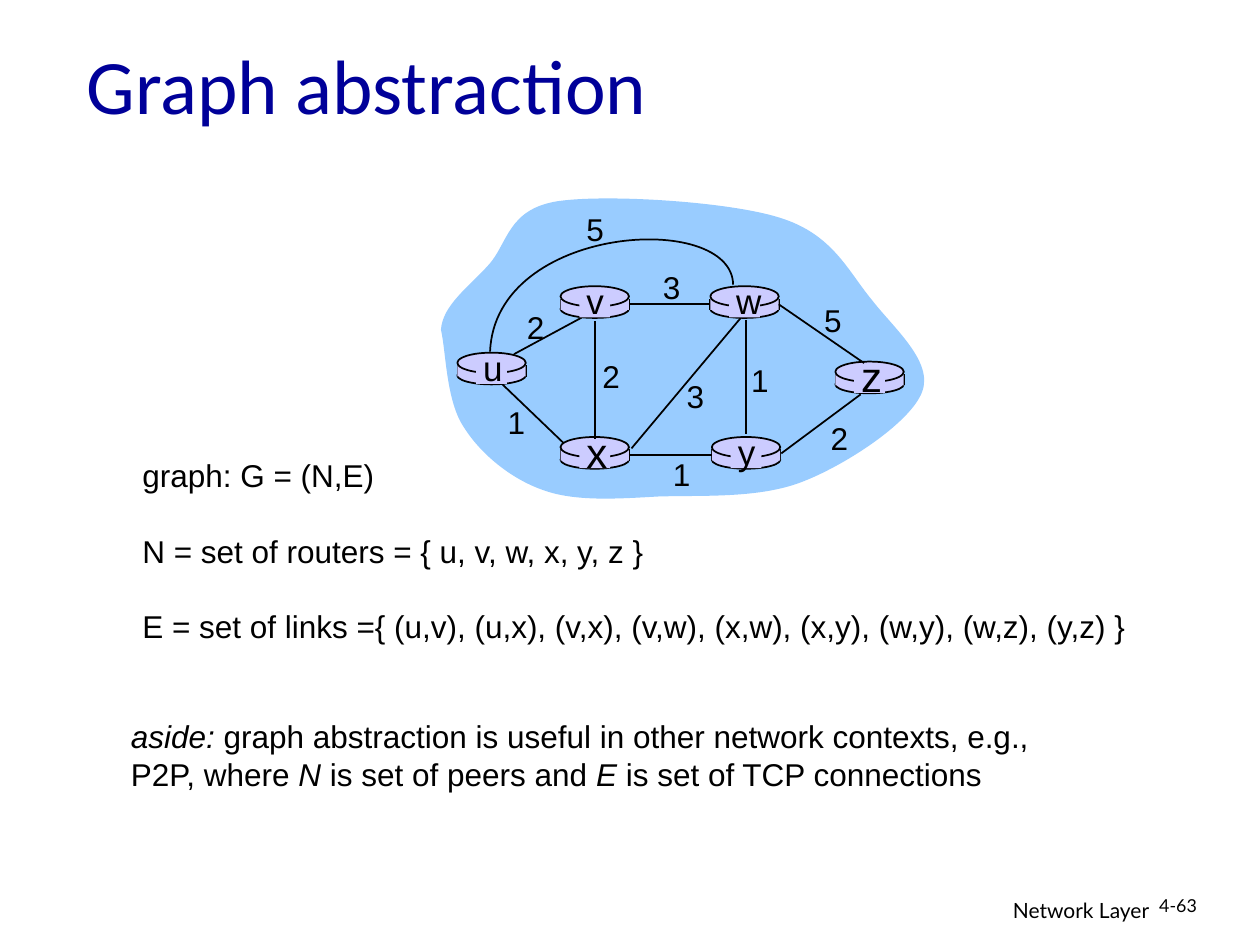
"""Build the slide that presents a router network as a graph with link costs."""
from dataclasses import dataclass
from typing import Any, NamedTuple

from lxml.etree import Element, SubElement
from pptx import Presentation
from pptx.dml.color import RGBColor as Rgb
from pptx.enum.shapes import MSO_CONNECTOR as Connector, MSO_SHAPE as Preset
from pptx.enum.text import MSO_ANCHOR as Anchor, PP_ALIGN as Align
from pptx.oxml.ns import qn
from pptx.util import Cm, Pt

COLORS = {"ink": "000000", "title": "000099", "cloud": "99CCFF", "router": "CCCCFF"}
ROUTER_WIDTH = 1.38
RIGHT_SIDE, LEFT_SIDE = 3, 1


class Point(NamedTuple):
    x: float
    y: float


class Frame(NamedTuple):
    left: float
    top: float
    width: float
    height: float


class Span(NamedTuple):
    text: str
    italic: bool = False


@dataclass(frozen=True)
class Router:
    name: str
    left: float
    top: float
    size: int = 20


@dataclass(frozen=True)
class Link:
    start: Point
    end: Point
    cost: str
    cost_center: Point
    start_router: str = ""
    end_router: str = ""


ROUTERS = [
    Router("u", 9.22, 7.11),
    Router("x", 11.3, 8.81, 24),
    Router("v", 11.3, 5.77),
    Router("w", 14.32, 5.77),
    Router("y", 14.35, 8.81),
    Router("z", 16.84, 7.29, 24),
]
LINKS = [
    Link(Point(10.36, 7.14), Point(11.73, 6.4), "2", Point(10.8, 6.6)),
    Link(Point(11.99, 6.48), Point(11.99, 8.84), "2", Point(12.32, 7.57)),
    Link(Point(10.13, 7.75), Point(11.35, 8.92), "1", Point(10.41, 8.51)),
    Link(Point(12.73, 9.04), Point(14.94, 6.4), "3", Point(14.02, 7.98)),
    Link(Point(12.75, 9.19), Point(14.35, 9.19), "1", Point(13.74, 9.55), "x", "y"),
    Link(Point(15.04, 6.45), Point(15.04, 8.74), "1", Point(15.32, 7.65)),
    Link(Point(15.75, 9.14), Point(17.35, 7.95), "2", Point(16.92, 8.83)),
    Link(Point(15.7, 6.12), Point(17.42, 7.32), "5", Point(16.79, 6.45), "w"),
    Link(Point(12.73, 6.15), Point(14.33, 6.15), "3", Point(13.54, 5.79), "v", "w"),
]
CLOUD = [
    Point(8.89, 6.65), Point(8.92, 6.15), Point(9.47, 5.77),
    Point(9.86, 5.33), Point(10.24, 4.9), Point(10.24, 4.22),
    Point(11.23, 4.06), Point(12.19, 3.91), Point(14.68, 4.06),
    Point(15.72, 4.39), Point(16.79, 4.72), Point(17.09, 5.46),
    Point(17.58, 6.05), Point(18.03, 6.63), Point(18.82, 7.29),
    Point(18.59, 7.9), Point(18.36, 8.51), Point(17.09, 9.35),
    Point(16.21, 9.7), Point(15.32, 10.06), Point(14.15, 9.98),
    Point(13.26, 10.01), Point(12.4, 10.06), Point(11.58, 10.11),
    Point(10.95, 9.88), Point(10.29, 9.65), Point(9.68, 9.14),
    Point(9.35, 8.61), Point(8.99, 8.08), Point(8.99, 7.06),
    Point(8.89, 6.65),
]
ARC = [Point(14.78, 5.74), Point(14.76, 4.24), Point(9.98, 4.52), Point(9.88, 7.09)]
ARC_COST, ARC_COST_CENTER = "5", Point(12.0, 4.62)
DEFINITIONS = [
    [Span("graph: G = (N,E)")],
    [Span("N = set of routers = { u, v, w, x, y, z }")],
    [Span("E = set of links ={ (u,v), (u,x), (v,x), (v,w), (x,w), (x,y), (w,y), (w,z), (y,z) }")],
]
ASIDE = [
    [Span("aside:", True), Span(" graph abstraction is useful in other network contexts, e.g.,")],
    [Span("P2P, where "), Span("N", True), Span(" is set of peers and "),
     Span("E", True), Span(" is set of TCP connections")],
]


def apply(target: Any, values: dict[str, Any]) -> None:
    """Set each named attribute on the target."""
    for name, value in values.items():
        setattr(target, name, value)


def paint(shape: Any, fill: str = "", line: str = "") -> None:
    """Give a shape its fill and outline, without a shadow."""
    shape.shadow.inherit = False
    if fill:
        shape.fill.solid()
        shape.fill.fore_color.rgb = Rgb.from_string(COLORS[fill])
    else:
        shape.fill.background()
    if line:
        shape.line.color.rgb = Rgb.from_string(COLORS[line])
        shape.line.width = Pt(1)
    else:
        shape.line.fill.background()


def add_preset(page: Any, preset: Any, frame: Frame, line: str = "") -> Any:
    """Add a router-coloured preset shape."""
    shape = page.shapes.add_shape(preset, *map(Cm, frame))
    paint(shape, "router", line)
    return shape


def add_line(page: Any, start: Point, end: Point) -> Any:
    """Add a thin straight connector."""
    line = page.shapes.add_connector(Connector.STRAIGHT, *map(Cm, (*start, *end)))
    line.line.color.rgb = Rgb.from_string(COLORS["ink"])
    line.line.width = Pt(1)
    SubElement(line._element.spPr, qn("a:effectLst"))
    return line


def add_curve(page: Any, points: list[Point], closed: bool, **colors: str) -> None:
    """Add a freeform and turn each three of its segments into a cubic curve."""
    builder = page.shapes.build_freeform(*map(Cm, points[0]))
    builder.add_line_segments([tuple(map(Cm, point)) for point in points[1:]], close=closed)
    shape = builder.convert_to_shape()
    segments = list(shape._element.iter(qn("a:lnTo")))
    for first in range(0, len(segments), 3):
        curve = Element(qn("a:cubicBezTo"))
        segments[first].addprevious(curve)
        for segment in segments[first:first + 3]:
            curve.append(segment[0])
            segment.getparent().remove(segment)
    paint(shape, **colors)


def fill_text(text_frame: Any, paragraphs: list[list[Span]], size: float, font: str,
              color: str = "ink", **layout: Any) -> None:
    """Write formatted paragraphs; the gap before applies from the second on."""
    gap = layout.pop("space_before", Pt(0))
    for index, spans in enumerate(paragraphs):
        para = text_frame.add_paragraph() if index else text_frame.paragraphs[0]
        apply(para, {"space_before": gap if index else Pt(0), **layout})
        for span in spans:
            run = para.add_run()
            run.text = span.text
            apply(run.font, {"size": Pt(size), "name": font, "italic": span.italic})
            run.font.color.rgb = Rgb.from_string(COLORS[color])


def add_text(page: Any, frame: Frame, paragraphs: list[list[Span]], size: float = 18,
             font: str = "Arial", anchor: Any = Anchor.TOP, **layout: Any) -> None:
    """Add a text box that holds its lines as given."""
    box = page.shapes.add_textbox(*map(Cm, frame))
    apply(box.text_frame, {"word_wrap": False, "vertical_anchor": anchor})
    fill_text(box.text_frame, paragraphs, size, font, **layout)


def add_label(page: Any, center: Point, text: str, size: int = 18) -> None:
    """Add a short label centred on a point."""
    frame = Frame(center.x - 0.43, center.y - 0.51, 0.86, 1.02)
    add_text(page, frame, [[Span(text)]], size, anchor=Anchor.MIDDLE, alignment=Align.CENTER)


def add_router(page: Any, router: Router) -> Any:
    """Draw a router as a flat cylinder and return its middle band."""
    left, top = router.left, router.top
    add_preset(page, Preset.OVAL, Frame(left, top + 0.28, ROUTER_WIDTH, 0.36), "ink")
    for x in (left, left + ROUTER_WIDTH):
        add_line(page, Point(x, top + 0.25), Point(x, top + 0.48))
    band = add_preset(page, Preset.RECTANGLE, Frame(left, top + 0.25, ROUTER_WIDTH, 0.23))
    add_preset(page, Preset.OVAL, Frame(left, top, ROUTER_WIDTH, 0.41), "ink")
    return band


def add_graph(page: Any) -> None:
    """Draw the cloud, routers, links, names and costs."""
    add_curve(page, CLOUD, True, fill="cloud")
    bands = {router.name: add_router(page, router) for router in ROUTERS}
    for link in LINKS:
        line = add_line(page, link.start, link.end)
        if link.start_router:
            line.begin_connect(bands[link.start_router], RIGHT_SIDE)
        if link.end_router:
            line.end_connect(bands[link.end_router], LEFT_SIDE)
    add_curve(page, ARC, False, line="ink")
    for router in ROUTERS:
        add_preset(page, Preset.RECTANGLE, Frame(router.left + 0.38, router.top + 0.05, 0.62, 0.58))
        add_label(page, Point(router.left + 0.7, router.top + 0.29), router.name, router.size)
    for link in LINKS:
        add_label(page, link.cost_center, link.cost)
    add_label(page, ARC_COST_CENTER, ARC_COST)


def main() -> None:
    """Build and save the deck."""
    deck = Presentation()
    apply(deck, {"slide_width": Cm(25.4), "slide_height": Cm(19.05)})
    page = deck.slides.add_slide(deck.slide_layouts[5])
    title = page.shapes.title
    apply(title, dict(zip(Frame._fields, map(Cm, Frame(1.49, 0.58, 21.59, 2.21)))))
    title.text_frame.vertical_anchor = Anchor.MIDDLE
    fill_text(title.text_frame, [[Span("Graph abstraction")]], 44, "Calibri", "title", alignment=Align.LEFT)
    add_text(page, Frame(15.37, 17.96, 8.05, 0.79), [[Span("Network Layer")]], 12, "Lato", alignment=Align.RIGHT)
    add_text(page, Frame(23.12, 17.96, 1.88, 0.76), [[Span("4-63")]], 10.2, "Lato", line_spacing=0.9)
    add_graph(page)
    add_text(page, Frame(2.62, 9.07, 20.55, 4.06), DEFINITIONS, space_before=Pt(21.6))
    add_text(page, Frame(2.39, 14.33, 20.4, 1.78), ASIDE)
    deck.save("out.pptx")


if __name__ == "__main__":
    main()
